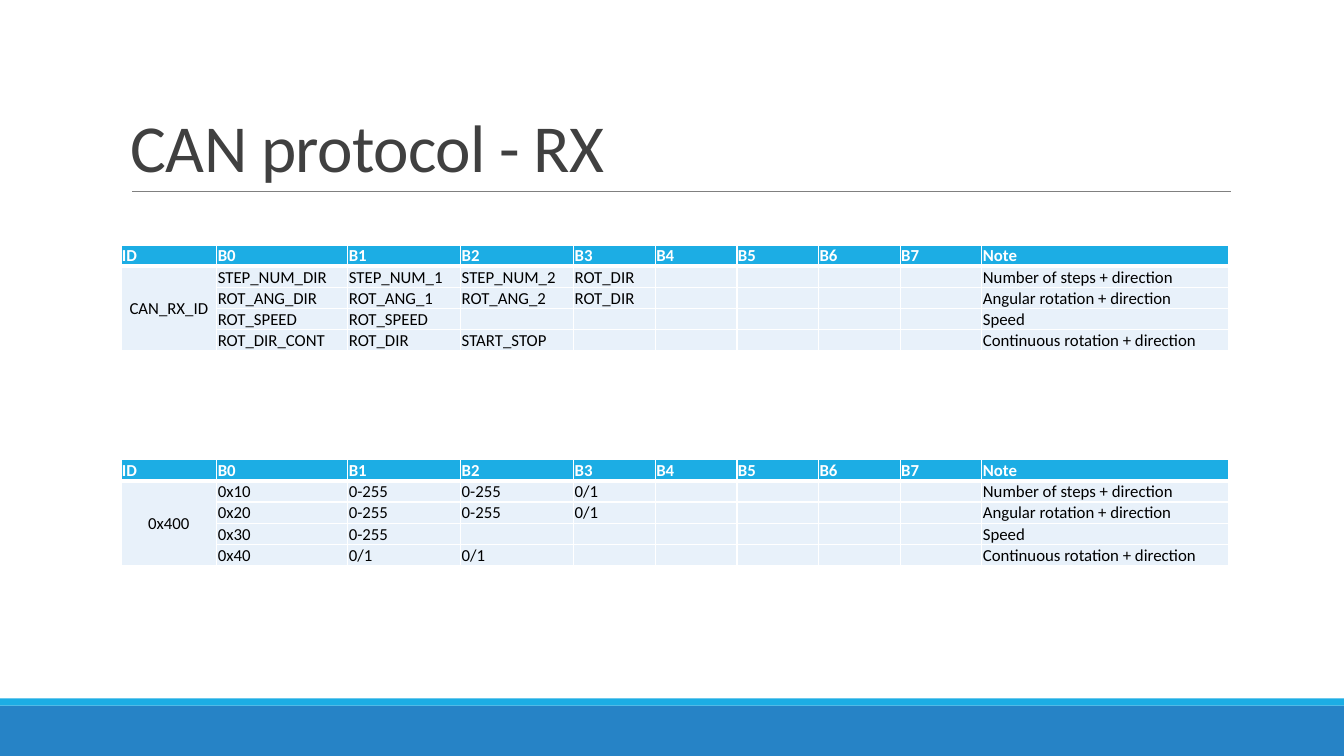
from lxml import etree
from pptx import Presentation
from pptx.dml.color import RGBColor
from pptx.enum.shapes import MSO_CONNECTOR, MSO_SHAPE
from pptx.enum.text import MSO_ANCHOR, PP_ALIGN
from pptx.oxml.ns import qn
from pptx.util import Inches, Pt

LINE, RECT = MSO_CONNECTOR.STRAIGHT, MSO_SHAPE.RECTANGLE
LOW, MID = MSO_ANCHOR.BOTTOM, MSO_ANCHOR.MIDDLE
LEFT, CENTER = PP_ALIGN.LEFT, PP_ALIGN.CENTER

WHITE = RGBColor(0xFF, 0xFF, 0xFF)
BLACK = RGBColor(0, 0, 0)
DARK = RGBColor(0x40, 0x40, 0x40)
GRAY = RGBColor(0x80, 0x80, 0x80)
CYAN = RGBColor(0x1C, 0xAD, 0xE4)
BLUE = RGBColor(0x26, 0x83, 0xC6)
PALE = RGBColor(0xE8, 0xF1, 0xFA)

WIDTHS = [0.95, 1.3, 1.12, 1.12] + [0.81] * 5 + [2.45]
HEAD = ["ID"] + [f"B{n}" for n in range(8)] + ["Note"]
NOTES = ["Number of steps + direction", "Angular rotation + direction",
         "Speed", "Continuous rotation + direction"]
NAMES = [["STEP_NUM_DIR", "STEP_NUM_1", "STEP_NUM_2", "ROT_DIR"],
         ["ROT_ANG_DIR", "ROT_ANG_1", "ROT_ANG_2", "ROT_DIR"],
         ["ROT_SPEED", "ROT_SPEED"],
         ["ROT_DIR_CONT", "ROT_DIR", "START_STOP"]]
CODES = [["0x10", "0-255", "0-255", "0/1"],
         ["0x20", "0-255", "0-255", "0/1"],
         ["0x30", "0-255"],
         ["0x40", "0/1", "0/1"]]


def apply(item, form):
    for key, value in form.items():
        setattr(item, key, value)


class Page:
    face = "Calibri"
    size = 12
    inset = {"margin_left": Inches(0.01), "margin_right": Inches(0.01),
             "margin_top": Inches(0.01), "margin_bottom": 0}

    def __init__(self, slide):
        self.shapes = slide.shapes

    def label(self, para, text, size, color, bold=False):
        run = para.add_run()
        run.text = text
        apply(run.font, {"name": self.face, "size": Pt(size), "bold": bold})
        run.font.color.rgb = color
        return run

    def band(self, top, height, color):
        bar = self.shapes.add_shape(RECT, 0, Inches(top), Inches(13.33), Inches(height))
        bar.shadow.inherit = False
        bar.fill.solid()
        bar.fill.fore_color.rgb = color
        bar.line.fill.background()

    def rule(self, left, right, top):
        line = self.shapes.add_connector(LINE, Inches(left), Inches(top), Inches(right), Inches(top))
        line.line.color.rgb = GRAY
        line.line.width = Pt(0.5)
        etree.SubElement(line._element.spPr, qn("a:effectLst"))

    def title(self, text, left, top, width, height):
        box = self.shapes.add_textbox(*map(Inches, (left, top, width, height)))
        apply(box.text_frame, {"word_wrap": True, "vertical_anchor": LOW})
        para = box.text_frame.paragraphs[0]
        para.line_spacing = 0.85
        run = self.label(para, text, 48, DARK)
        run.font._element.set("spc", "-50")

    def edge(self, cell, widths):
        props = cell._tc.get_or_add_tcPr()
        for spot, (side, width) in enumerate(zip("LRTB", widths)):
            line = etree.Element(qn(f"a:ln{side}"), w=str(int(Pt(width))))
            fill = etree.SubElement(line, qn("a:solidFill"))
            etree.SubElement(fill, qn("a:srgbClr"), val=str(WHITE))
            props.insert(spot, line)

    def cell(self, cell, text, row, first):
        head = row == 0
        lead = first and not head
        apply(cell, self.inset)
        cell.vertical_anchor = MID if lead else LOW
        cell.fill.solid()
        cell.fill.fore_color.rgb = CYAN if head else PALE
        para = cell.text_frame.paragraphs[0]
        para.alignment = CENTER if lead else LEFT
        if text:
            self.label(para, text, self.size, WHITE if head else BLACK, head)
        else:
            etree.SubElement(para._p, qn("a:endParaRPr"), sz=str(self.size * 100))
        self.edge(cell, (1, 1, 3 if row == 1 else 1, 3 if head else 1))

    def table(self, top, ident, data):
        rows = [HEAD]
        for num, (vals, note) in enumerate(zip(data, NOTES)):
            gaps = [""] * (8 - len(vals))
            rows.append(["" if num else ident] + vals + gaps + [note])
        frame = self.shapes.add_table(len(rows), len(HEAD), Inches(1.2), Inches(top),
                                      Inches(sum(WIDTHS)), Inches(1.05))
        grid = frame.table
        for col, width in zip(grid.columns, WIDTHS):
            col.width = Inches(width)
        for r, row in enumerate(rows):
            grid.rows[r].height = Inches(0.21)
            for c, text in enumerate(row):
                self.cell(grid.cell(r, c), text, r, c == 0)
        grid.cell(1, 0).merge(grid.cell(len(rows) - 1, 0))


deck = Presentation()
deck.slide_width, deck.slide_height = Inches(13.33), Inches(7.5)
page = Page(deck.slides.add_slide(deck.slide_layouts[6]))

# Footer bands
page.band(7, 0.5, BLUE)
page.band(6.93, 0.07, CYAN)

# Title and rule
page.rule(1.31, 12.21, 1.9)
page.title("CAN protocol - RX", 1.2, 0.31, 11, 1.59)

# Message tables: names, then values
page.table(2.43, "CAN_RX_ID", NAMES)
page.table(4.56, "0x400", CODES)

deck.save("out.pptx")
